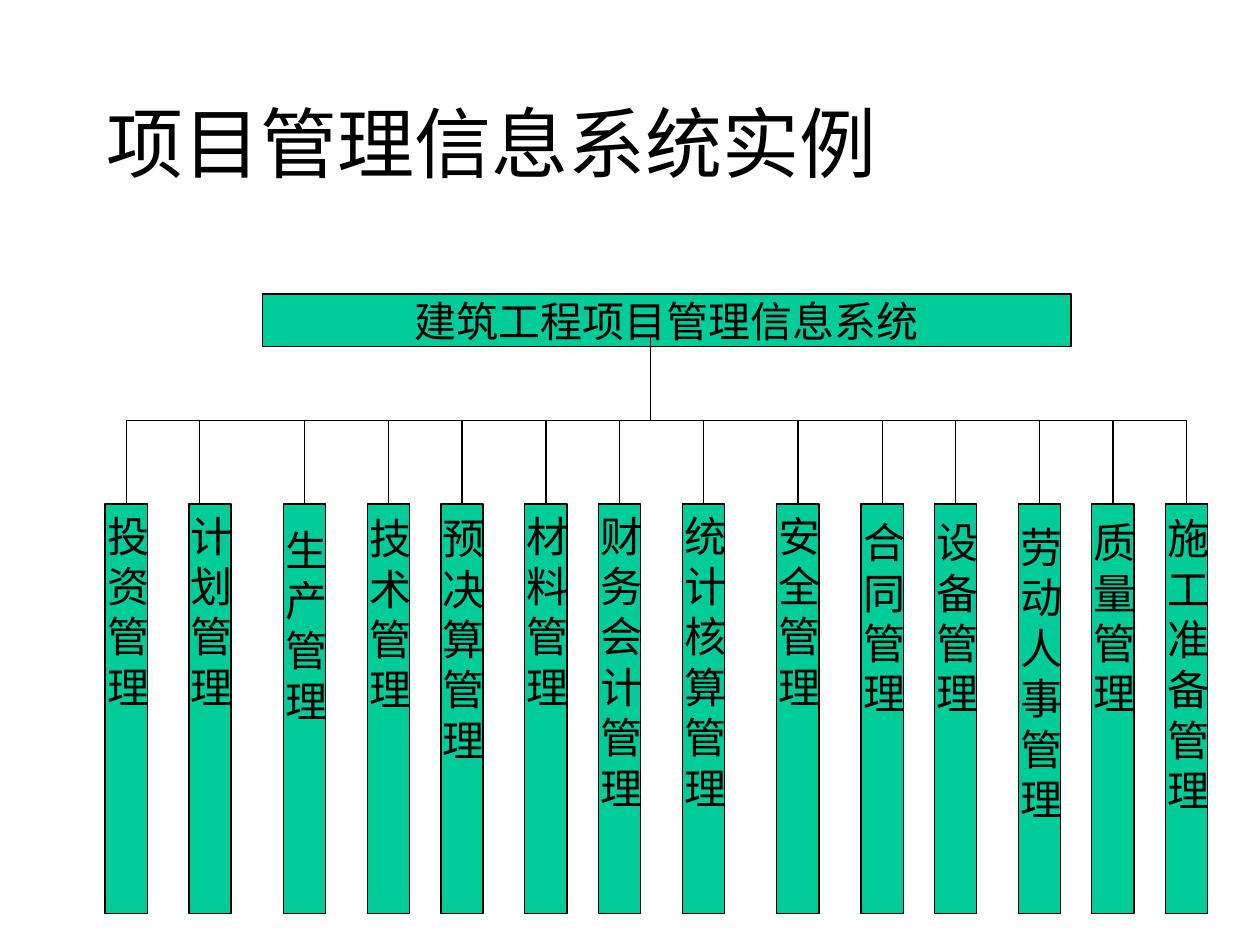
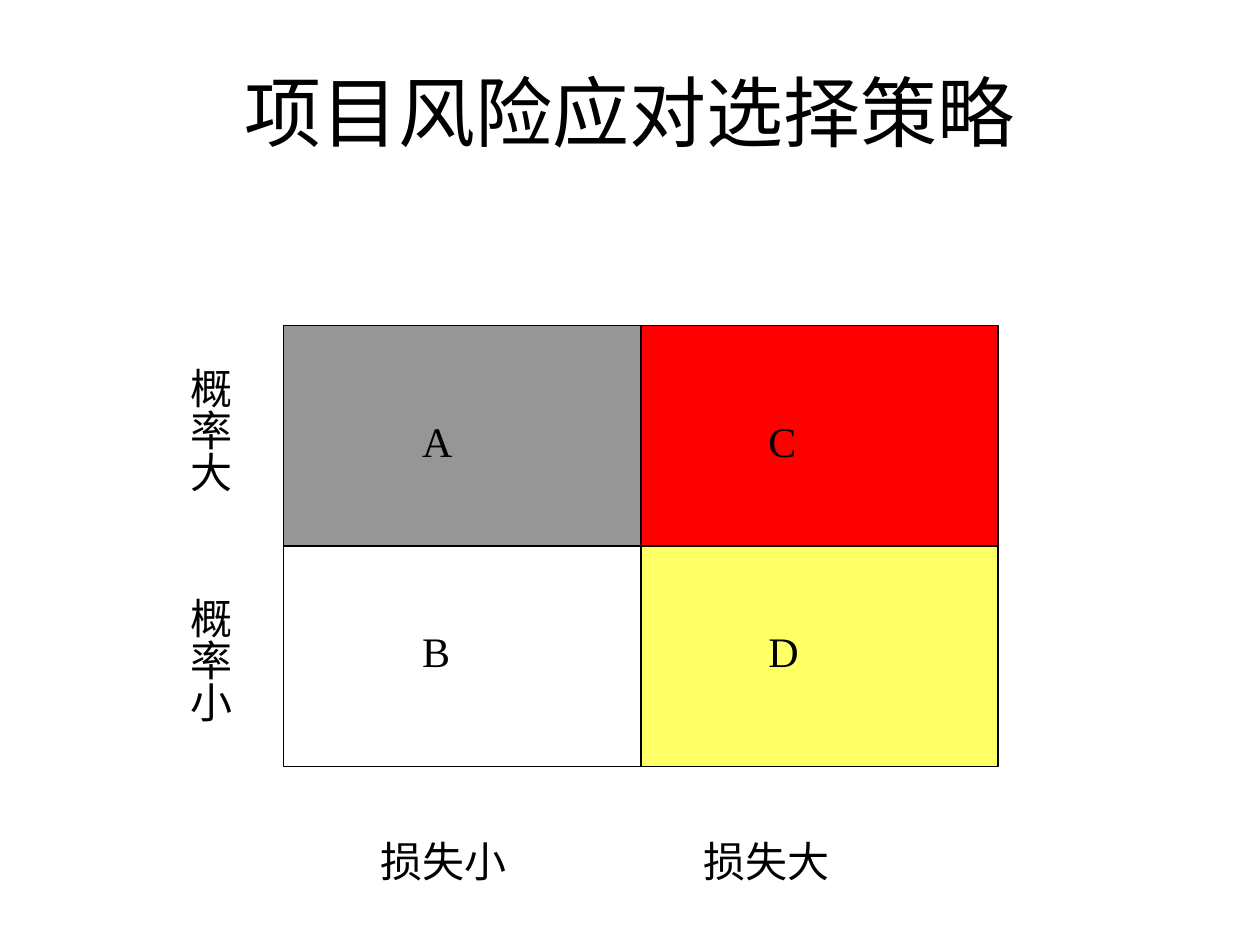
from dataclasses import dataclass

from lxml import etree
from pptx import Presentation
from pptx.dml.color import RGBColor
from pptx.enum.shapes import MSO_CONNECTOR, MSO_SHAPE
from pptx.enum.text import MSO_ANCHOR, PP_ALIGN
from pptx.oxml.ns import qn
from pptx.util import Cm, Pt

RECT = MSO_SHAPE.RECTANGLE
STRAIGHT = MSO_CONNECTOR.STRAIGHT
LEFT, CENTER = PP_ALIGN.LEFT, PP_ALIGN.CENTER
TOP, MIDDLE = MSO_ANCHOR.TOP, MSO_ANCHOR.MIDDLE


@dataclass(frozen=True)
class Theme:
    font: str = "Times New Roman"
    ink: str = "000000"
    node: str = "00CC99"
    gray: str = "969696"
    red: str = "FF0000"
    yellow: str = "FFFF66"
    white: str = "FFFFFF"
    title_size: float = 44
    body_size: float = 24
    stack_pitch: float = 28.8
    line_width: float = 0.75


THEME = Theme()

# Subsystem, left edge, label offset from the top of its column (cm)
SUBSYSTEMS = [
    ("投资管理", 2.12, 0), ("计划管理", 3.81, 0), ("生产管理", 5.72, 0.28),
    ("技术管理", 7.41, 0.05), ("预决算管理", 8.89, 0.05), ("材料管理", 10.58, 0),
    ("财务会计管理", 12.07, 0), ("统计核算管理", 13.76, 0), ("安全管理", 15.66, 0),
    ("合同管理", 17.36, 0.13), ("设备管理", 18.84, 0.13), ("劳动人事管理", 20.53, 0.23),
    ("质量管理", 22.01, 0.13), ("施工准备管理", 23.5, 0.05),
]
OFF_CENTER_DROPS = {"计划管理": 0.21}


def rgb(color):
    return RGBColor.from_string(color)


def write(sp, lines, size=THEME.body_size, align=LEFT, anchor=TOP, wrap=True, pitch=None):
    """Fill a shape with one paragraph for each line."""
    tf = sp.text_frame
    tf.word_wrap = wrap
    tf.vertical_anchor = anchor
    for i, line in enumerate(lines):
        p = tf.add_paragraph() if i else tf.paragraphs[0]
        p.alignment = align
        if pitch:
            p.line_spacing = Pt(pitch)
        r = p.add_run()
        r.text = line
        r.font.name = THEME.font
        r.font.size = Pt(size)
        r.font.color.rgb = rgb(THEME.ink)


def add_text(slide, lines, x, y, w, h, vertical=False, **fmt):
    sp = slide.shapes.add_textbox(Cm(x), Cm(y), Cm(w), Cm(h))
    write(sp, lines, **fmt)
    if vertical:
        tf = sp.text_frame
        tf.margin_left = tf.margin_right = Cm(0.13)
        tf.margin_top = tf.margin_bottom = Cm(0.25)
        sp.element.find(".//" + qn("a:bodyPr")).set("vert", "eaVert")


def add_box(slide, x, y, w, h, fill):
    sp = slide.shapes.add_shape(RECT, Cm(x), Cm(y), Cm(w), Cm(h))
    sp.shadow.inherit = False
    sp.fill.solid()
    sp.fill.fore_color.rgb = rgb(fill)
    sp.line.color.rgb = rgb(THEME.ink)
    sp.line.width = Pt(THEME.line_width)
    return sp


def add_line(slide, x1, y1, x2, y2):
    line = slide.shapes.add_connector(STRAIGHT, Cm(x1), Cm(y1), Cm(x2), Cm(y2))
    line.line.color.rgb = rgb(THEME.ink)
    line.line.width = Pt(THEME.line_width)
    etree.SubElement(line.element.spPr, qn("a:effectLst"))


def add_title(slide, text, y, h, align=LEFT):
    add_text(slide, [text], 1.9, y, 21.59, h,
             size=THEME.title_size, align=align, anchor=MIDDLE)


def build_system_chart(slide):
    column_top, column_w, bus_y = 10.16, 0.85, 8.47
    add_title(slide, "项目管理信息系统实例", 1.69, 2.33)
    root = add_box(slide, 5.29, 5.93, 16.3, 1.06, THEME.node)
    write(root, ["建筑工程项目管理信息系统"], align=CENTER, anchor=MIDDLE, wrap=False)

    # Subsystem columns, each with its characters stacked
    for name, x, offset in SUBSYSTEMS:
        add_box(slide, x, column_top, column_w, 8.26, THEME.node)
        add_text(slide, name, x - 0.21, column_top + offset, 1.35, len(name) * 1.02 + 0.25,
                 wrap=False, pitch=THEME.stack_pitch)
        drop_x = x + OFF_CENTER_DROPS.get(name, column_w / 2)
        add_line(slide, drop_x, bus_y, drop_x, column_top)

    # Bus and trunk
    add_line(slide, SUBSYSTEMS[0][1] + column_w / 2, bus_y,
             SUBSYSTEMS[-1][1] + column_w / 2, bus_y)
    add_line(slide, 13.12, 6.77, 13.12, bus_y)


def build_risk_matrix(slide):
    left, top, cell_w, cell_h = 5.72, 6.56, 7.2, 4.45
    add_title(slide, "项目风险应对选择策略", 0.64, 3.18, align=CENTER)

    # Quadrants
    quadrants = [[("A", THEME.gray), ("C", THEME.red)],
                 [("B", THEME.white), ("D", THEME.yellow)]]
    for row, cells in enumerate(quadrants):
        for col, (letter, fill) in enumerate(cells):
            add_box(slide, left + col * cell_w, top + row * cell_h, cell_w, cell_h, fill)
            add_text(slide, [letter], 8.26 + col * 6.98, 8.26 + row * 4.23, 2.6, 1.27)

    # Axis labels
    for text, x in [("损失小", 7.42), ("损失大", 13.94)]:
        add_text(slide, [text], x, 16.71, 4.2, 1.27)
    for text, y in [("概率大", 7.16), ("概率小", 11.8)]:
        add_text(slide, [text], 3.35, y, 1.52, 3.3, vertical=True)


def main():
    prs = Presentation()
    prs.slide_width, prs.slide_height = Cm(25.4), Cm(19.05)
    blank = prs.slide_layouts[6]
    for build in (build_system_chart, build_risk_matrix):
        build(prs.slides.add_slide(blank))
    prs.save("out.pptx")


if __name__ == "__main__":
    main()
